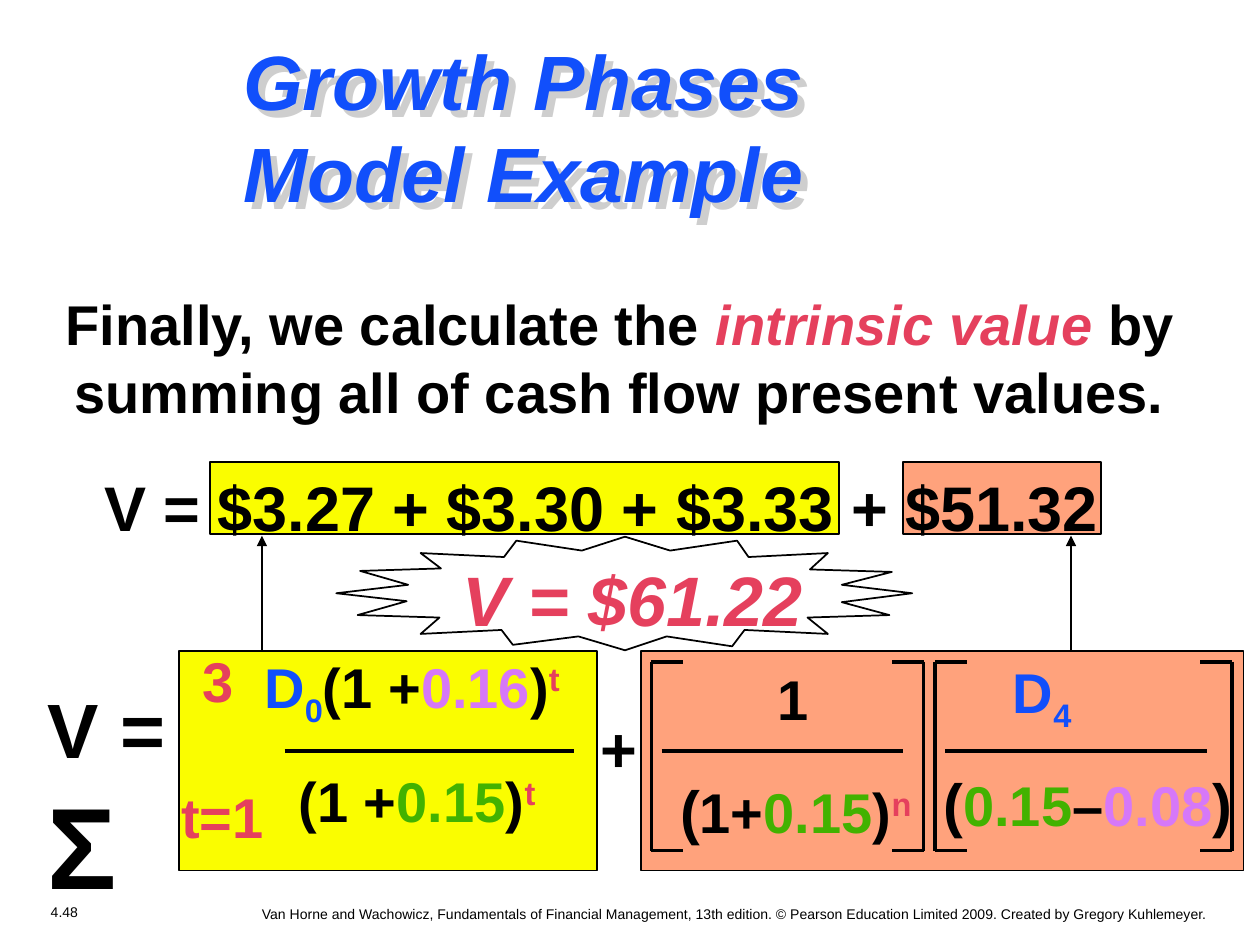
from dataclasses import dataclass

from lxml import etree
from pptx import Presentation
from pptx import util as u
from pptx.dml.color import RGBColor
from pptx.enum import shapes, text
from pptx.oxml import ns

Cm = u.Cm


@dataclass(frozen=True)
class Theme:
    font: str = "Arial"
    black: str = "000000"
    blue: str = "114FFB"
    red: str = "E5405D"
    violet: str = "D678F8"
    green: str = "42B200"
    yellow: str = "FAFD00"
    salmon: str = "FFA27C"
    shadow: str = "CECECE"
    small: int = 8
    formula: int = 32
    bracket: int = 34
    sum: int = 36
    result: int = 40
    title: int = 44
    sigma: int = 66


THEME = Theme()
SUB, SUPER = -25000, 30000
ALIGN = text.PP_ALIGN

BURST = [
    (6.78, 11.96), (8.2, 12.12), (7.21, 12.4), (8.86, 12.45),
    (8.48, 12.78), (10.11, 12.7), (10.34, 13), (11.66, 12.83),
    (12.6, 13.11), (13.44, 12.83), (14.76, 13.03), (15.01, 12.7),
    (16.69, 12.78), (16.28, 12.45), (17.93, 12.4), (16.97, 12.14),
    (18.39, 11.96), (16.97, 11.79), (17.98, 11.53), (16.33, 11.48),
    (16.69, 11.15), (15.09, 11.23), (14.86, 10.9), (13.51, 11.1),
    (12.6, 10.82), (11.73, 11.1), (10.41, 10.9), (10.16, 11.23),
    (8.48, 11.15), (8.89, 11.46), (7.26, 11.51), (8.23, 11.79),
]


def color(value):
    return RGBColor.from_string(value)


def add_span(para, words, hue=THEME.black, size=THEME.formula,
             bold=True, italic=False, shift=None):
    for index, line in enumerate(words.split("\n")):
        if index:
            para.add_line_break()
        span = para.add_run()
        span.text = line
        font = span.font
        font.name, font.size = THEME.font, u.Pt(size)
        font.bold, font.italic = bold, italic
        font.color.rgb = color(hue)
        if shift:
            font._element.set("baseline", str(shift))


def add_text(page, area, spans, align=ALIGN.LEFT, wrap=False):
    box = page.shapes.add_textbox(*map(Cm, area))
    frame = box.text_frame
    frame.word_wrap = wrap
    if not wrap:
        frame.auto_size = text.MSO_AUTO_SIZE.SHAPE_TO_FIT_TEXT
    para = frame.paragraphs[0]
    para.alignment = align
    for span in spans:
        add_span(para, **span)
    return box


def piece(words, hue=THEME.black, **style):
    return dict(words=words, hue=hue, **style)


def outline(shape, width=1):
    shape.shadow.inherit = False
    shape.line.color.rgb = color(THEME.black)
    shape.line.width = u.Pt(width)


def add_panel(page, area, fill):
    panel = page.shapes.add_shape(shapes.MSO_SHAPE.RECTANGLE, *map(Cm, area))
    panel.fill.solid()
    panel.fill.fore_color.rgb = color(fill)
    outline(panel)


def add_line(page, start, end, width=2, arrow=False):
    line = page.shapes.add_connector(
        shapes.MSO_CONNECTOR.STRAIGHT, *map(Cm, start + end))
    line.line.color.rgb = color(THEME.black)
    line.line.width = u.Pt(width)
    if arrow:
        etree.SubElement(line.line._get_or_add_ln(), ns.qn("a:headEnd"),
                         type="triangle")
    etree.SubElement(line._element.spPr, ns.qn("a:effectLst"))


def add_brackets(page, left, right, top=13.34, bottom=17.15, tick=0.64):
    for x, inner in ((left, left + tick), (right, right - tick)):
        add_line(page, (x, top), (x, bottom))
        for y in (top, bottom):
            add_line(page, (x, y), (inner, y))


def add_burst(page):
    points = [(Cm(x), Cm(y)) for x, y in BURST]
    builder = page.shapes.build_freeform(*points[0])
    builder.add_line_segments(points[1:], close=True)
    burst = builder.convert_to_shape()
    burst.fill.background()
    outline(burst)


def add_title(page):
    box = add_text(page, (4.65, 0.56, 19.89, 3.96),
                   [piece("Growth Phases \t\nModel Example", THEME.blue,
                          size=THEME.title, italic=True)], wrap=True)
    box.text_frame.vertical_anchor = text.MSO_ANCHOR.MIDDLE
    effects = etree.SubElement(box._element.spPr, ns.qn("a:effectLst"))
    shadow = etree.SubElement(effects, ns.qn("a:outerShdw"),
                              dist=str(Cm(0.2)), dir="2700000")
    etree.SubElement(shadow, ns.qn("a:srgbClr"), val=THEME.shadow)


def add_footer(page):
    style = dict(size=THEME.small, bold=False)
    add_text(page, (0.18, 18.08, 2.24, 0.61), [piece("4.48", **style)],
             ALIGN.CENTER)
    add_text(page, (0.61, 18.14, 24, 0.53), [piece(
        "Van Horne and Wachowicz, Fundamentals of Financial Management, "
        "13th edition. © Pearson Education Limited 2009. "
        "Created by Gregory Kuhlemeyer.", **style)], ALIGN.RIGHT, wrap=True)


def add_formula(page):
    t = THEME
    rate = piece("0.15", t.green)
    add_text(page, (5.08, 13.03, 6.6, 1.78), [
        piece("D", t.blue), piece("0", t.blue, shift=SUB), piece("(1 +"),
        piece("0.16", t.violet), piece(")"), piece("t", t.red, shift=SUPER)])
    add_text(page, (20.17, 13.13, 1.8, 1.78), [
        piece("D", t.blue), piece("4", t.blue, shift=SUB)])
    add_text(page, (5.77, 15.32, 5.4, 1.6), [
        piece("(1 +"), rate, piece(")"), piece("t", t.red, shift=SUPER)])
    add_text(page, (18.77, 15.34, 6.45, 1.68), [
        piece("(", size=t.bracket), rate, piece("–"),
        piece("0.08", t.violet), piece(")", size=t.bracket)])
    add_text(page, (0.71, 13.61, 4.7, 3.05), [
        piece("V = ", size=t.title), piece("Σ", size=t.sigma)], wrap=True)
    add_text(page, (3.4, 15.65, 2.3, 1.6), [piece("t=1", t.red)])
    add_text(page, (3.84, 12.9, 1.2, 1.6), [piece("3", t.red)])
    add_text(page, (11.86, 14.17, 1.3, 1.78), [piece("+", size=t.sum)])
    add_text(page, (15.42, 13.28, 1.2, 1.6), [piece("1")])
    add_text(page, (13.46, 15.47, 5.3, 1.68), [
        piece("(", size=t.bracket), piece("1+"), rate, piece(")"),
        piece("n", t.red, shift=SUPER)])
    for left, right in ((5.74, 11.58), (13.34, 18.21), (19.05, 24.33)):
        add_line(page, (left, 15.14), (right, 15.14))
    add_brackets(page, 13.13, 18.62)
    add_brackets(page, 18.85, 24.84)


def main():
    deck = Presentation()
    deck.slide_width, deck.slide_height = Cm(25.4), Cm(19.05)
    page = deck.slides.add_slide(deck.slide_layouts[6])

    add_footer(page)
    for area, fill in (((18.21, 9.32, 3.99, 1.45), THEME.salmon),
                       ((4.24, 9.32, 12.67, 1.45), THEME.yellow),
                       ((12.93, 13.13, 12.14, 4.42), THEME.salmon),
                       ((3.61, 13.13, 8.43, 4.42), THEME.yellow)):
        add_panel(page, area, fill)
    add_title(page)
    add_text(page, (0.53, 5.72, 23.93, 2.95), [
        piece("Finally, we calculate the "),
        piece("intrinsic value ", THEME.red, italic=True),
        piece("by summing all of cash flow present values.")],
        ALIGN.CENTER, wrap=True)
    add_formula(page)
    add_text(page, (1.85, 9.32, 20.7, 1.78), [
        piece("V = $3.27 + $3.30 + $3.33 + $51.32", size=THEME.sum)])
    for x in (5.28, 21.59):
        add_line(page, (x, 10.8), (x, 13.13), width=1, arrow=True)
    add_text(page, (9.07, 11.1, 7.5, 1.93), [
        piece("V = $61.22", THEME.red, size=THEME.result, italic=True)])
    add_burst(page)
    deck.save("out.pptx")


if __name__ == "__main__":
    main()
